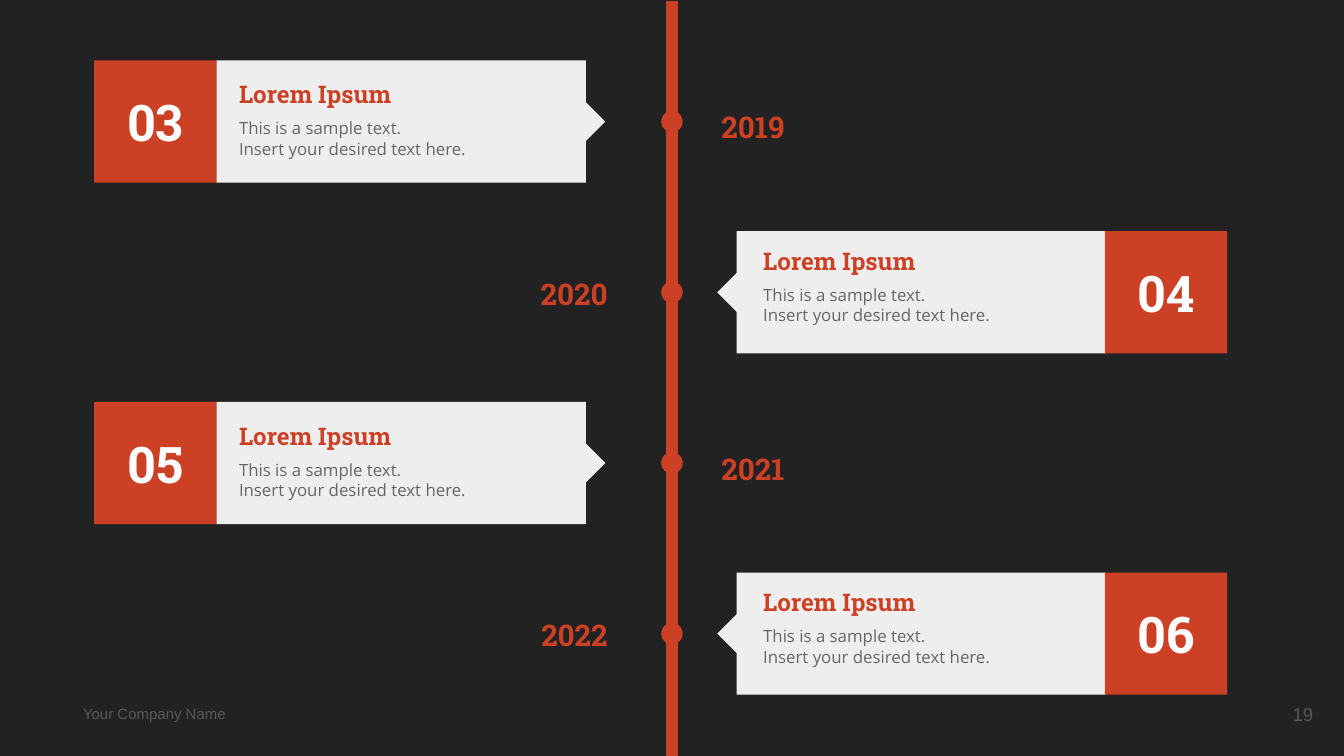
from pptx import Presentation
from pptx.dml.color import RGBColor
from pptx.enum.shapes import MSO_CONNECTOR, MSO_SHAPE
from pptx.enum.text import MSO_ANCHOR, PP_ALIGN
from pptx.oxml.ns import qn
from pptx.util import Inches, Pt
from lxml.etree import SubElement

DESCRIPTION = ["This is a sample text.", "Insert your desired text here."]
MILESTONES = [
    ("03", "2019", "Lorem Ipsum", DESCRIPTION),
    ("04", "2020", "Lorem Ipsum", DESCRIPTION),
    ("05", "2021", "Lorem Ipsum", DESCRIPTION),
    ("06", "2022", "Lorem Ipsum", DESCRIPTION),
]
FOOTER = "Your Company Name"
PAGE_NUMBER = "19"

THEME = {
    "background": "222222",
    "accent": "CC4125",
    "card": "EEEEEE",
    # text styles: font, size, colour, bold
    "number": ("Roboto Slab", 27, "FFFFFF", True),
    "year": ("Roboto Slab", 16, "CC4125", True),
    "heading": ("Roboto Slab", 13, "CC4125", True),
    "body": ("Open Sans", 9, "666666", False),
    "footer": ("Arial", 8, "595959", False),
    "page": ("Arial", 10, "595959", False),
}

SLIDE_WIDTH = 10
SLIDE_HEIGHT = SLIDE_WIDTH * 9 / 16
AXIS_X = SLIDE_WIDTH / 2
FIRST_TOP, ROW_STEP = 0.45, 1.27
BADGE, CARD_WIDTH = 0.91, 2.75
DOT, POINTER = 0.16, 0.21

# Milestones alternate between these two sides of the axis.
SIDES = [
    {"badge": 0.7, "card": 1.61, "pointer": 4.25, "rotation": 225, "text": 1.68,
     "text_drop": 0.17, "year": 5.27, "year_drop": 0.33, "year_align": PP_ALIGN.LEFT},
    {"badge": 8.22, "card": 5.48, "pointer": 5.38, "rotation": 45, "text": 5.58,
     "text_drop": 0.14, "year": 3.72, "year_drop": 0.3, "year_align": PP_ALIGN.RIGHT},
]


def write(shape, lines, style, align=PP_ALIGN.LEFT):
    font_name, size, color, bold = THEME[style]
    frame = shape.text_frame
    frame.word_wrap = True
    frame.vertical_anchor = MSO_ANCHOR.MIDDLE
    frame.margin_left = frame.margin_right = Inches(0.1)
    frame.margin_top = frame.margin_bottom = Inches(0.1)
    frame.text = "\n".join(lines)
    for paragraph in frame.paragraphs:
        paragraph.alignment = align
        paragraph.font.name = font_name
        paragraph.font.size = Pt(size)
        paragraph.font.bold = bold
        paragraph.font.color.rgb = RGBColor.from_string(color)


def add_text(shapes, box, lines, style, align=PP_ALIGN.LEFT):
    write(shapes.add_textbox(*map(Inches, box)), lines, style, align)


def add_block(shapes, kind, box, color):
    """Add a flat filled shape without outline or shadow."""
    shape = shapes.add_shape(kind, *map(Inches, box))
    shape.shadow.inherit = False
    shape.fill.solid()
    shape.fill.fore_color.rgb = RGBColor.from_string(THEME[color])
    shape.line.fill.background()
    return shape


def add_axis(shapes):
    axis = shapes.add_connector(MSO_CONNECTOR.STRAIGHT, Inches(AXIS_X), Inches(0.01),
                                Inches(AXIS_X), Inches(5.63))
    axis.line.color.rgb = RGBColor.from_string(THEME["accent"])
    axis.line.width = Pt(6)
    SubElement(axis._element.spPr, qn("a:effectLst"))


def add_milestone(slide, index, number, year, heading, description):
    side = SIDES[index % 2]
    top = FIRST_TOP + index * ROW_STEP
    middle = top + BADGE / 2
    text_top = top + side["text_drop"]
    shapes = slide.shapes.add_group_shape().shapes

    add_block(shapes, MSO_SHAPE.OVAL,
              (AXIS_X - DOT / 2, middle - DOT / 2, DOT, DOT), "accent")
    add_block(shapes, MSO_SHAPE.RECTANGLE, (side["card"], top, CARD_WIDTH, BADGE), "card")
    badge = add_block(shapes, MSO_SHAPE.RECTANGLE,
                      (side["badge"], top, BADGE, BADGE), "accent")
    write(badge, [number], "number", PP_ALIGN.CENTER)
    pointer = add_block(shapes, MSO_SHAPE.RIGHT_TRIANGLE,
                        (side["pointer"], middle - POINTER / 2, POINTER, POINTER), "card")
    pointer.rotation = side["rotation"]
    add_text(shapes, (side["text"], text_top + 0.18, 2.51, 0.46), description, "body")
    add_text(shapes, (side["text"], text_top, 2.51, 0.16), [heading], "heading")
    add_text(shapes, (side["year"], top + side["year_drop"], 0.9, 0.33),
             [year], "year", side["year_align"])


def main():
    presentation = Presentation()
    presentation.slide_width = Inches(SLIDE_WIDTH)
    presentation.slide_height = Inches(SLIDE_HEIGHT)
    slide = presentation.slides.add_slide(presentation.slide_layouts[6])
    slide.background.fill.solid()
    slide.background.fill.fore_color.rgb = RGBColor.from_string(THEME["background"])

    add_text(slide.shapes, (0.52, 5.18, 1.67, 0.26), [FOOTER], "footer")
    add_axis(slide.shapes)
    for index, milestone in enumerate(MILESTONES):
        add_milestone(slide, index, *milestone)
    add_text(slide.shapes, (9.27, 5.1, 0.6, 0.43), [PAGE_NUMBER], "page", PP_ALIGN.RIGHT)
    presentation.save("out.pptx")


if __name__ == "__main__":
    main()
